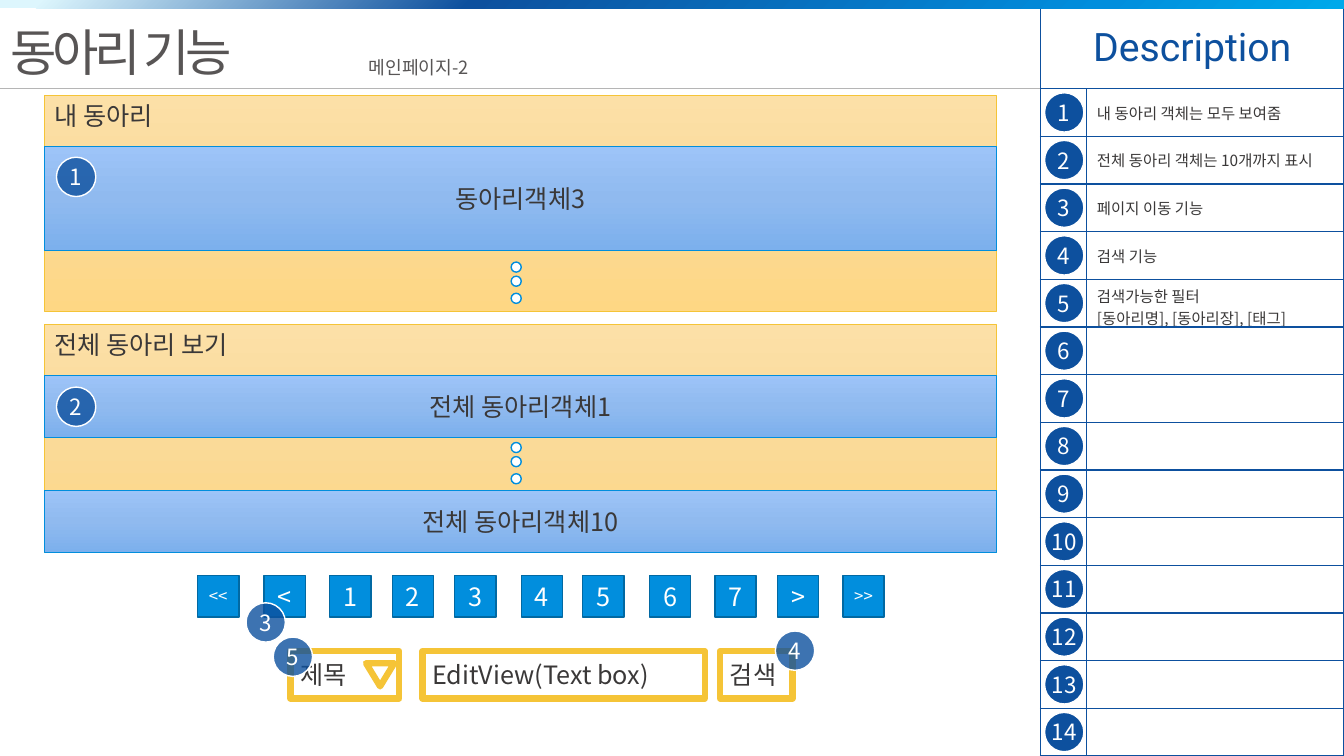
from pptx import Presentation
from pptx.dml.color import RGBColor
from pptx.enum.shapes import MSO_CONNECTOR, MSO_SHAPE
from pptx.enum.text import MSO_ANCHOR, MSO_AUTO_SIZE, PP_ALIGN
from pptx.oxml import parse_xml
from pptx.oxml.ns import nsdecls, qn
from pptx.util import Inches, Pt

RECT, OVAL, TRIANGLE = MSO_SHAPE.RECTANGLE, MSO_SHAPE.OVAL, MSO_SHAPE.ISOSCELES_TRIANGLE
LEFT, CENTER = PP_ALIGN.LEFT, PP_ALIGN.CENTER
TOP, MIDDLE = MSO_ANCHOR.TOP, MSO_ANCHOR.MIDDLE
FONT = "Noto Sans CJK KR"
NAVY, BLUE, GOLD, WHITE = "0D509E", "018EDD", "F5C437", "FFFFFF"
INK, GRAY = "3A3838", "585555"
YELLOW_FADE = [(0, "FCE0A7"), (50, "FADA98"), (100, "FED784")]
BLUE_FADE = [(0, "9DC4F8"), (50, "90BAEF"), (100, "7CB0ED")]
BAR_FADE = [(3, "DDF6FD"), (35, NAVY), (82, BLUE), (100, "00A9EA")]
SLIDE_W, SLIDE_H = 13.33, 7.5
BAR_H, HEADER_Y, PANEL_X = 0.08, 0.88, 10.32
BADGE = 0.39
NOTES = [
    ["내 동아리 객체는 모두 보여줌"],
    ["전체 동아리 객체는 10개까지 표시"],
    ["페이지 이동 기능"],
    ["검색 기능"],
    ["검색가능한 필터", "[동아리명], [동아리장], [태그]"],
]
NOTE_ROWS = 14


def rgb(color):
    return RGBColor.from_string(color)


def inches(*values):
    return [Inches(v) for v in values]


def write(tf, lines, size=18, color=INK, font=FONT, align=LEFT, spacing=None):
    for i, line in enumerate(lines):
        p = tf.paragraphs[0] if i == 0 else tf.add_paragraph()
        p.alignment = align
        r = p.add_run()
        r.text = line
        r.font.size = Pt(size)
        r.font.color.rgb = rgb(color)
        r.font.name = font
        rpr = r.font._element
        rpr.append(parse_xml(f'<a:ea {nsdecls("a")} typeface="{font}"/>'))
        if spacing is not None:
            rpr.set("spc", str(spacing * 100))


def fade(shape, stops, angle):
    shape.fill.gradient()
    shape.fill.gradient_angle = 360 - angle
    stop_list = shape.element.spPr.find(qn("a:gradFill")).find(qn("a:gsLst"))
    for stop in list(stop_list):
        stop_list.remove(stop)
    for pos, color in stops:
        stop_list.append(parse_xml(
            f'<a:gs {nsdecls("a")} pos="{pos * 1000}"><a:srgbClr val="{color}"/></a:gs>'))


def add_shape(s, kind, box, fill, line=None, width=1, angle=90, alpha=None,
              text=None, anchor=MIDDLE, inset=None, **fmt):
    sp = s.shapes.add_shape(kind, *inches(*box))
    sp.shadow.inherit = False
    if isinstance(fill, list):
        fade(sp, fill, angle)
    else:
        sp.fill.solid()
        sp.fill.fore_color.rgb = rgb(fill)
    if alpha:
        color = sp.element.spPr.find(qn("a:solidFill"))[0]
        color.append(parse_xml(f'<a:alpha {nsdecls("a")} val="{alpha * 1000}"/>'))
    if line:
        sp.line.color.rgb = rgb(line)
        sp.line.width = Pt(width)
    else:
        sp.line.fill.background()
    if text:
        tf = sp.text_frame
        tf.vertical_anchor = anchor
        if inset is not None:
            tf.margin_left = tf.margin_right = tf.margin_top = tf.margin_bottom = inset
        write(tf, [text], **fmt)
    return sp


def add_badge(s, x, y, number, alpha=80):
    add_shape(s, OVAL, (x, y, BADGE, BADGE), NAVY, WHITE, alpha=alpha, inset=0,
              text=str(number), size=16, color=WHITE, align=CENTER)


def fit_unwrapped(tf):
    tf.word_wrap = False
    tf.auto_size = MSO_AUTO_SIZE.SHAPE_TO_FIT_TEXT
    tf.vertical_anchor = TOP


def format_cell(cell, lines, **fmt):
    cell.fill.background()
    tcpr = cell._tc.get_or_add_tcPr()
    for i, side in enumerate("LRTB"):
        tcpr.insert(i, parse_xml(
            f'<a:ln{side} {nsdecls("a")} w="12700"><a:solidFill>'
            f'<a:srgbClr val="{NAVY}"/></a:solidFill></a:ln{side}>'))
    cell.vertical_anchor = MIDDLE
    write(cell.text_frame, lines, **fmt)


# Description panel: heading row, then numbered notes
def description(s, x, y, w, h):
    head_h, number_w = 0.8, 0.46
    row_h = (h - head_h) / NOTE_ROWS
    table = s.shapes.add_table(NOTE_ROWS + 1, 2, *inches(x, y, w, h)).table
    table.first_row = table.horz_banding = False
    table.columns[0].width, table.columns[1].width = inches(number_w, w - number_w)
    for i, row in enumerate(table.rows):
        row.height = Inches(row_h if i else head_h)
    table.cell(0, 0).merge(table.cell(0, 1))
    format_cell(table.cell(0, 0), ["Description"], size=28, color=NAVY,
                font="Roboto", align=CENTER)
    format_cell(table.cell(0, 1), [])
    for i in range(NOTE_ROWS):
        format_cell(table.cell(i + 1, 0), [])
        format_cell(table.cell(i + 1, 1), NOTES[i] if i < len(NOTES) else [], size=11)
        add_badge(s, x + 0.04, y + head_h + 0.04 + i * row_h, i + 1, alpha=None)


# Top bar, title, page name and rule
def header(s, w):
    add_shape(s, RECT, (0, 0, SLIDE_W, BAR_H), BAR_FADE, angle=45)
    rule = s.shapes.add_connector(MSO_CONNECTOR.STRAIGHT, *inches(0, HEADER_Y, w, HEADER_Y))
    rule.line.color.rgb = rgb("B5B5B5")
    rule.line.width = Pt(1)
    rule.element.spPr.append(parse_xml(f'<a:effectLst {nsdecls("a")}/>'))
    title = s.shapes.title
    title.left, title.top, title.width, title.height = inches(0, 0.16, 2.65, 0.71)
    fit_unwrapped(title.text_frame)
    write(title.text_frame, ["동아리 기능"], size=36, color=GRAY, spacing=-3)
    page = s.shapes.add_textbox(*inches(3.56, 0.51, 1.26, 0.32))
    fit_unwrapped(page.text_frame)
    write(page.text_frame, ["메인페이지-2"], size=13, color=GRAY)


# Club list: titled yellow box, blue items as (offset, height, text), three dots
def club_list(s, x, y, w, h, title, number, badge_y, items, dots_y):
    add_shape(s, RECT, (x, y, w, h), YELLOW_FADE, GOLD, 0.5, text=title, anchor=TOP)
    for offset, item_h, text in items:
        add_shape(s, RECT, (x, y + offset, w, item_h), BLUE_FADE, BLUE, 0.5,
                  text=text, align=CENTER)
    for offset in (0, 0.14, 0.31):
        add_shape(s, OVAL, (x + 4.63, y + dots_y + offset, 0.1, 0.1), WHITE, BLUE)
    add_badge(s, x + 0.12, y + badge_y, number)


# Page buttons
def pager(s, x, y, size):
    labels = ["<<", "<", *"1234567", ">", ">>"]
    offsets = [0, 0.66, 1.31, 1.93, 2.55, 3.21, 3.82, 4.48, 5.13, 5.75, 6.4]
    for label, offset in zip(labels, offsets):
        add_shape(s, RECT, (x + offset, y, size, size), BLUE, "0169A3", text=label,
                  size=18 if len(label) == 1 else 12, color=WHITE, align=CENTER)
    add_badge(s, x + 0.48, y + 0.27, 3)


# Search filter, input and button
def search(s, x, y, h):
    for offset, w, text in [(0, 1.08, "제목"), (1.31, 2.8, "EditView(Text box)"),
                            (4.26, 0.72, "검색")]:
        add_shape(s, RECT, (x + offset, y, w, h), WHITE, GOLD, 4.5, text=text)
    arrow = add_shape(s, TRIANGLE, (x + 0.75, y + 0.12, 0.28, 0.23), WHITE, GOLD, 4.5)
    arrow.element.spPr.xfrm.set("flipV", "1")
    add_badge(s, x + 4.81, y - 0.2, 4)
    add_badge(s, x - 0.17, y - 0.14, 5)


def main():
    prs = Presentation()
    prs.slide_width, prs.slide_height = inches(SLIDE_W, SLIDE_H)
    s = prs.slides.add_slide(prs.slide_layouts[5])
    description(s, PANEL_X, BAR_H, SLIDE_W - PANEL_X, SLIDE_H - BAR_H)
    header(s, PANEL_X)
    club_list(s, 0.44, 0.95, 9.44, 2.14, "내 동아리", 1, 0.61,
              [(0.5, 1.03, "동아리객체3")], 1.65)
    club_list(s, 0.44, 3.22, 9.44, 2.26, "전체 동아리 보기", 2, 0.62,
              [(0.5, 0.62, "전체 동아리객체1"), (1.64, 0.62, "전체 동아리객체10")], 1.17)
    pager(s, 1.96, 5.71, 0.41)
    search(s, 2.88, 6.46, 0.47)
    prs.save("out.pptx")


if __name__ == "__main__":
    main()
